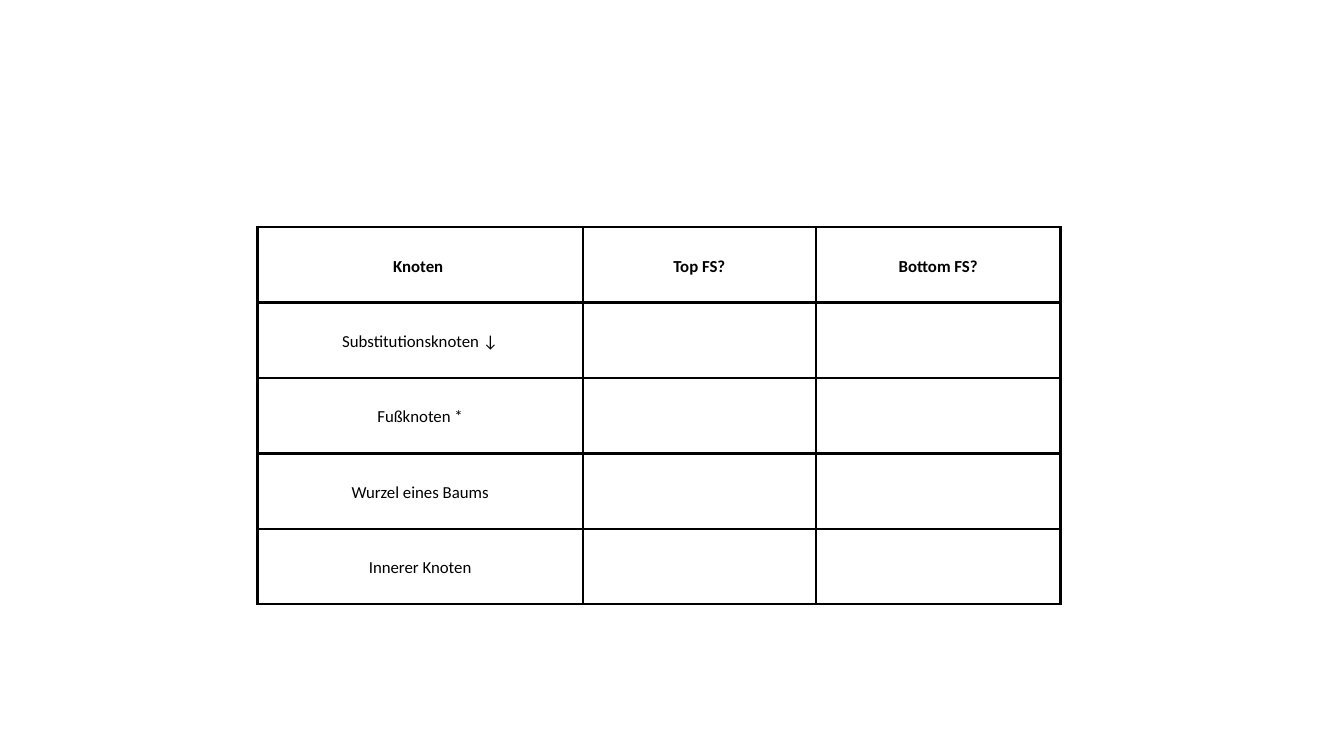
import pptx
import pptx.util
import pptx.dml.color
import pptx.enum.text
import pptx.oxml
import pptx.oxml.ns

Pt = pptx.util.Pt

THEME = {
    "font": "Calibri",
    "size": 18,
    "line_spacing": 25.2,
    "ink": "000000",
    "border": 3,
    "inset": 15,
}

HEADINGS = ["Knoten ", "Top FS?", "Bottom FS?"]
NODES = ["Substitutionsknoten ↓", "Fußknoten *", "Wurzel eines Baums", "Innerer Knoten"]
ROWS = [HEADINGS] + [[node, "", ""] for node in NODES]

SLIDE_WIDTH, SLIDE_HEIGHT = 1440, 810
LEFT, TOP = 275.9, 243.4
COLUMN_WIDTHS = [348.5, 249.8, 262.1]
ROW_HEIGHT = 80.8


def write_text(cell, text, bold=False, align=pptx.enum.text.PP_ALIGN.CENTER):
    paragraph = cell.text_frame.paragraphs[0]
    paragraph.alignment = align
    paragraph.line_spacing = Pt(THEME["line_spacing"])
    if not text:
        return
    run = paragraph.add_run()
    run.text = text
    run.font.name = THEME["font"]
    run.font.size = Pt(THEME["size"])
    run.font.bold = bold
    run.font.color.rgb = pptx.dml.color.RGBColor.from_string(THEME["ink"])


def style_cell(cell):
    cell.fill.background()
    cell.vertical_anchor = pptx.enum.text.MSO_ANCHOR.MIDDLE
    for side in ("left", "right", "top", "bottom"):
        setattr(cell, f"margin_{side}", Pt(THEME["inset"]))
    properties = cell._tc.get_or_add_tcPr()
    for position, edge in enumerate("LRTB"):
        border = pptx.oxml.parse_xml(
            f'<a:ln{edge} {pptx.oxml.ns.nsdecls("a")} w="{Pt(THEME["border"])}">'
            f'<a:solidFill><a:srgbClr val="{THEME["ink"]}"/></a:solidFill>'
            f'</a:ln{edge}>'
        )
        properties.insert(position, border)


def main():
    deck = pptx.Presentation()
    deck.slide_width, deck.slide_height = Pt(SLIDE_WIDTH), Pt(SLIDE_HEIGHT)
    slide = deck.slides.add_slide(deck.slide_layouts[6])
    node_table = slide.shapes.add_table(
        len(ROWS), len(HEADINGS), Pt(LEFT), Pt(TOP),
        Pt(sum(COLUMN_WIDTHS)), Pt(ROW_HEIGHT * len(ROWS)),
    ).table
    node_table.first_row = False
    node_table.horz_banding = False
    for column, width in zip(node_table.columns, COLUMN_WIDTHS):
        column.width = Pt(width)
    for row_index, entries in enumerate(ROWS):
        node_table.rows[row_index].height = Pt(ROW_HEIGHT)
        for column_index, entry in enumerate(entries):
            cell = node_table.cell(row_index, column_index)
            style_cell(cell)
            write_text(cell, entry, bold=row_index == 0)
    deck.save("out.pptx")


if __name__ == "__main__":
    main()
